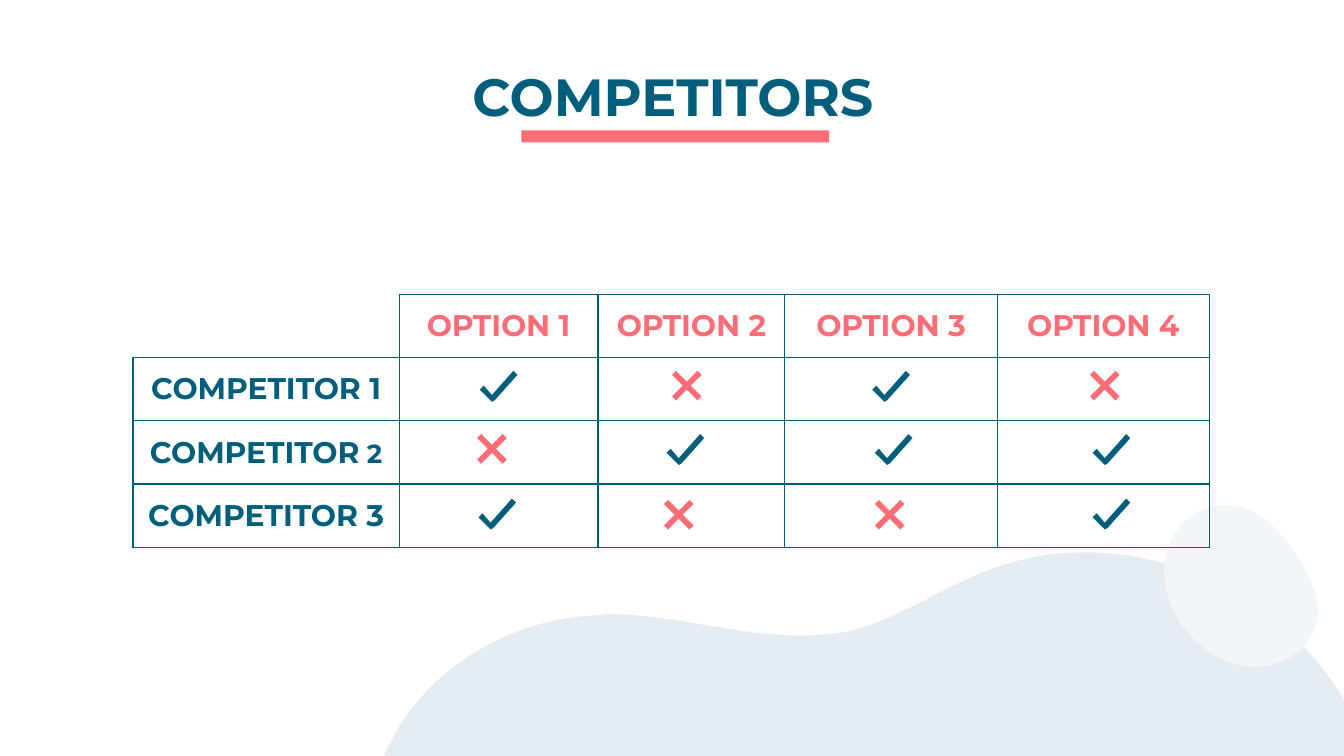
from lxml.etree import SubElement
from pptx import Presentation
from pptx.dml.color import RGBColor
from pptx.enum.shapes import MSO_SHAPE as Shape
from pptx.enum.text import MSO_ANCHOR as Anchor, MSO_AUTO_SIZE as AutoSize, PP_ALIGN as Align
from pptx.oxml.ns import qn
from pptx.util import Emu, Pt

PX = 9144  # EMU per px, 100 px to the inch
TEAL = RGBColor(0x00, 0x5E, 0x7D)
CORAL = RGBColor(0xFC, 0x6D, 0x78)
MIST = RGBColor(0xE4, 0xEC, 0xF1)
PALE = RGBColor(0xF2, 0xF6, 0xF8)

# Background outlines: a start, then cubic curves (six numbers) or lines (two)
HILL = [(807, 411), (784, 411, 761, 415, 739, 423), (703, 436, 672, 459, 635, 469),
        (622, 472, 609, 473, 595, 473), (548, 473, 500, 457, 452, 457),
        (449, 457, 445, 458, 441, 458), (387, 461, 336, 488, 305, 529),
        (290, 549, 280, 573, 276, 597), (1032, 597),
        (1018, 540, 986, 487, 936, 452), (899, 426, 853, 411, 807, 411)]
PEBBLE = [(911, 376), (911, 376, 910, 376, 909, 376), (890, 377, 873, 392, 868, 411),
          (858, 449, 890, 491, 928, 496), (930, 496, 932, 496, 934, 496),
          (954, 496, 974, 484, 979, 466), (984, 449, 976, 431, 967, 417),
          (960, 406, 953, 396, 943, 388), (934, 381, 923, 376, 911, 376)]

# Mark outlines, relative to their top left corner
CHECK = [(25, 0), (9, 18), (3, 11), (0, 14), (8, 22), (9, 23), (11, 22), (28, 3)]
CROSS = [(3, 0), (0, 3), (8, 11), (0, 19), (3, 22), (11, 14),
         (19, 22), (22, 19), (14, 11), (22, 3), (19, 0), (11, 8)]

COLUMNS = [198, 148, 139, 158, 158]
OPTIONS = [f"OPTION {number}" for number in range(1, 5)]
COMPETITORS = [[("COMPETITOR 1", 16)],
               [("COMPETITOR", 16), (" 2", 14)],
               [("COMPETITOR 3", 16)]]
# Each row of marks: top of checks, top of crosses, then kind and left edge
MARKS = [
    (276, 276, [(CHECK, 357), (CROSS, 500), (CHECK, 649), (CROSS, 811)]),
    (323, 323, [(CROSS, 355), (CHECK, 496), (CHECK, 651), (CHECK, 813)]),
    (371, 372, [(CHECK, 356), (CROSS, 494), (CROSS, 651), (CHECK, 813)]),
]


def px(*lengths):
    return [Emu(length * PX) for length in lengths]


def trace(steps, pieces=16):
    """Turn lines and cubic curves into a list of points."""
    points = [steps[0]]
    for step in steps[1:]:
        if len(step) == 2:
            points.append(step)
            continue
        start = points[-1]
        for index in range(1, pieces + 1):
            t = index / pieces
            u = 1 - t
            points.append(tuple(
                u**3 * start[axis] + 3 * u * u * t * step[axis]
                + 3 * u * t * t * step[axis + 2] + t**3 * step[axis + 4]
                for axis in (0, 1)))
    return points


class SlideArtist:
    font = "Montserrat"
    padding = 10

    def __init__(self, slide):
        self.slide = slide

    def paint(self, shape, color):
        shape.shadow.inherit = False
        shape.fill.solid()
        shape.fill.fore_color.rgb = color
        shape.line.fill.background()

    def outline(self, points, color, left=0, top=0):
        corners = [((left + x) * PX, (top + y) * PX) for x, y in points]
        builder = self.slide.shapes.build_freeform(*corners[0], scale=1.0)
        builder.add_line_segments(corners[1:], close=True)
        self.paint(builder.convert_to_shape(), color)

    def bar(self, left, top, width, height, color):
        self.paint(self.slide.shapes.add_shape(
            Shape.RECTANGLE, *px(left, top, width, height)), color)

    def pad(self, box):
        box.margin_left, box.margin_top, box.margin_right, box.margin_bottom = px(
            *[self.padding] * 4)
        box.vertical_anchor = Anchor.TOP

    def add_text(self, frame, runs, color):
        para = frame.paragraphs[0]
        para.alignment = Align.CENTER
        para.space_before = Pt(0)
        for text, size in runs:
            span = para.add_run()
            span.text = text
            span.font.name = self.font
            span.font.size = Pt(size)
            span.font.bold = True
            span.font.color.rgb = color

    def title(self, text, left, top, width, height):
        box = self.slide.shapes.title
        box.left, box.top, box.width, box.height = px(left, top, width, height)
        frame = box.text_frame
        frame.word_wrap = True
        frame.auto_size = AutoSize.NONE
        self.pad(frame)
        self.add_text(frame, [(text, 28)], TEAL)

    def border(self, cell, visible):
        properties = cell._tc.get_or_add_tcPr()
        for side in "LRTB":
            line = SubElement(properties, qn(f"a:ln{side}"), w=str(Pt(0.75)))
            if side in visible:
                fill = SubElement(line, qn("a:solidFill"))
                SubElement(fill, qn("a:srgbClr"), val=str(TEAL))
            else:
                SubElement(line, qn("a:noFill"))
        cell.fill.background()

    def table(self, left, top, columns, rows, row_height):
        table = self.slide.shapes.add_table(
            rows, len(columns), *px(left, top, sum(columns), rows * row_height)).table
        table.first_row = table.horz_banding = False
        for column, width in zip(table.columns, columns):
            column.width = px(width)[0]
        # The top left corner stays open
        for index, cell in enumerate(table.iter_cells()):
            self.border(cell, "LRTB" if index else "RB")
        return table

    def label(self, cell, runs, color):
        self.pad(cell)
        self.add_text(cell.text_frame, runs, color)


def main():
    deck = Presentation()
    deck.slide_width = px(1000)[0]
    deck.slide_height = deck.slide_width * 9 // 16
    artist = SlideArtist(deck.slides.add_slide(deck.slide_layouts[5]))

    # Background
    artist.outline(trace(HILL), MIST)
    artist.outline(trace(PEBBLE), PALE)

    # Title
    artist.title("COMPETITORS", 79, 38, 843, 63)

    # Comparison table
    table = artist.table(99, 219, COLUMNS, len(COMPETITORS) + 1, 42)
    for column, option in enumerate(OPTIONS, 1):
        artist.label(table.cell(0, column), [(option, 16)], CORAL)
    for row, runs in enumerate(COMPETITORS, 1):
        artist.label(table.cell(row, 0), runs, TEAL)

    # Title underline
    artist.bar(388, 97, 229, 9, CORAL)

    # Checks and crosses
    for check_top, cross_top, marks in MARKS:
        for mark, left in marks:
            if mark is CHECK:
                artist.outline(mark, TEAL, left, check_top)
            else:
                artist.outline(mark, CORAL, left, cross_top)

    deck.save("out.pptx")


if __name__ == "__main__":
    main()
